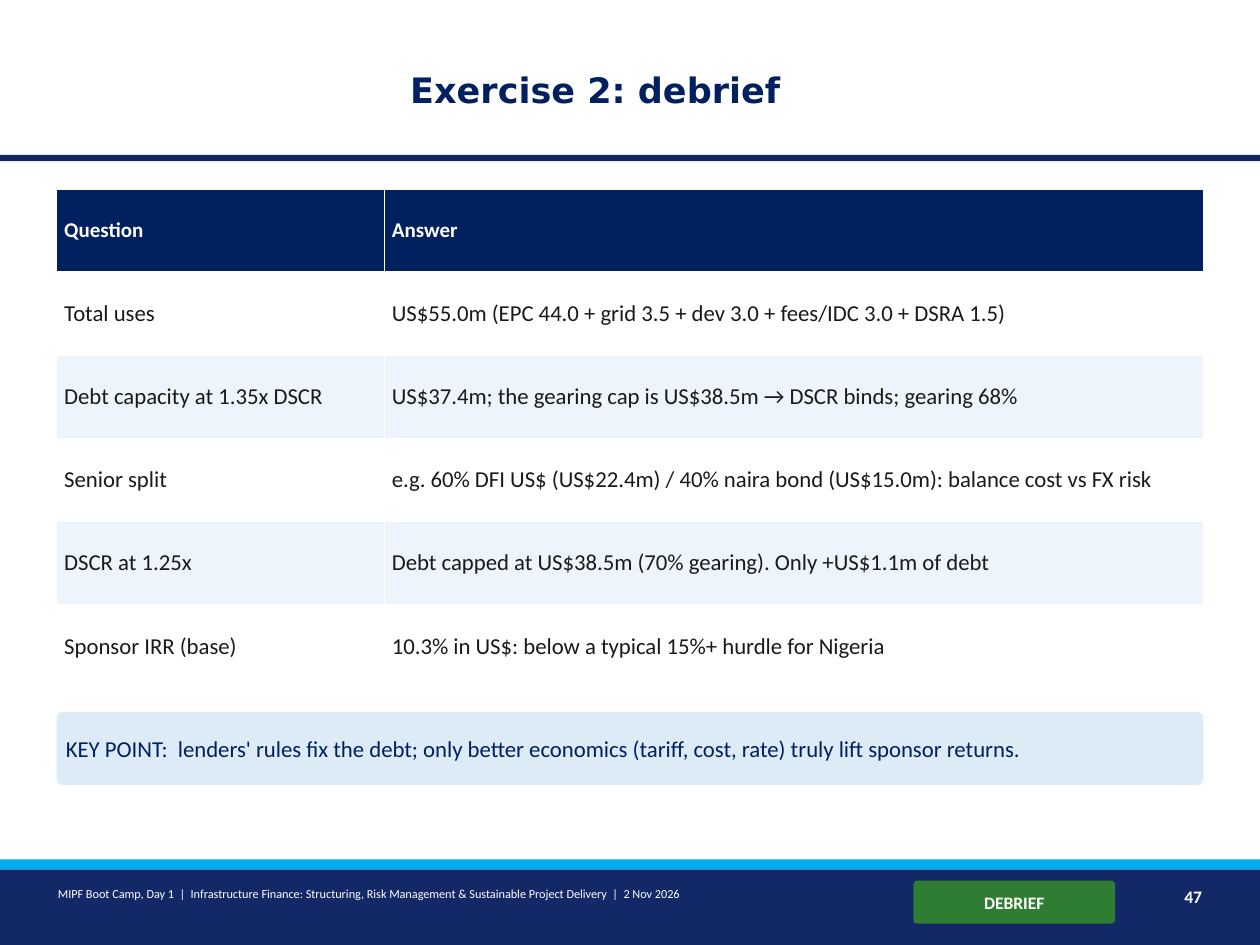
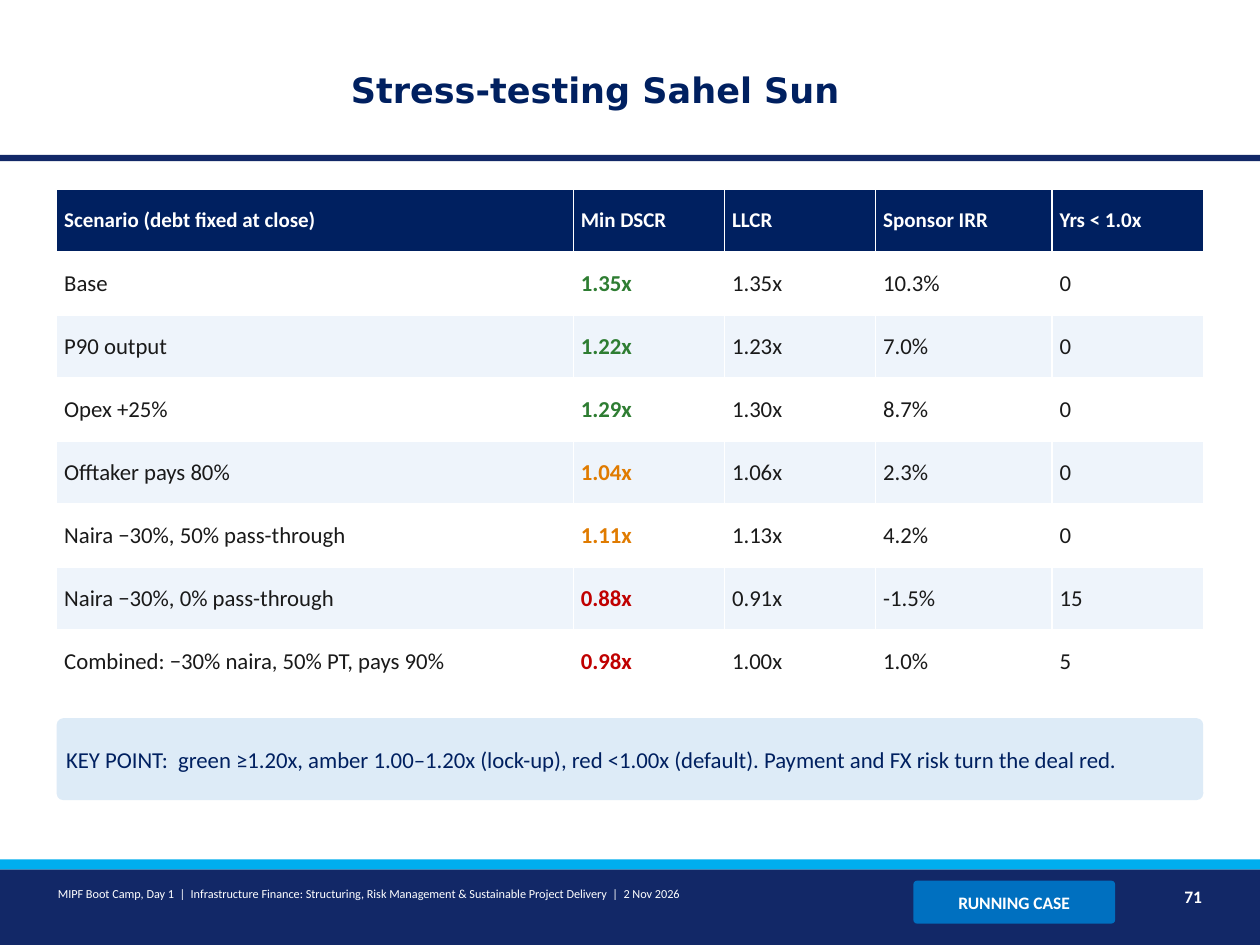
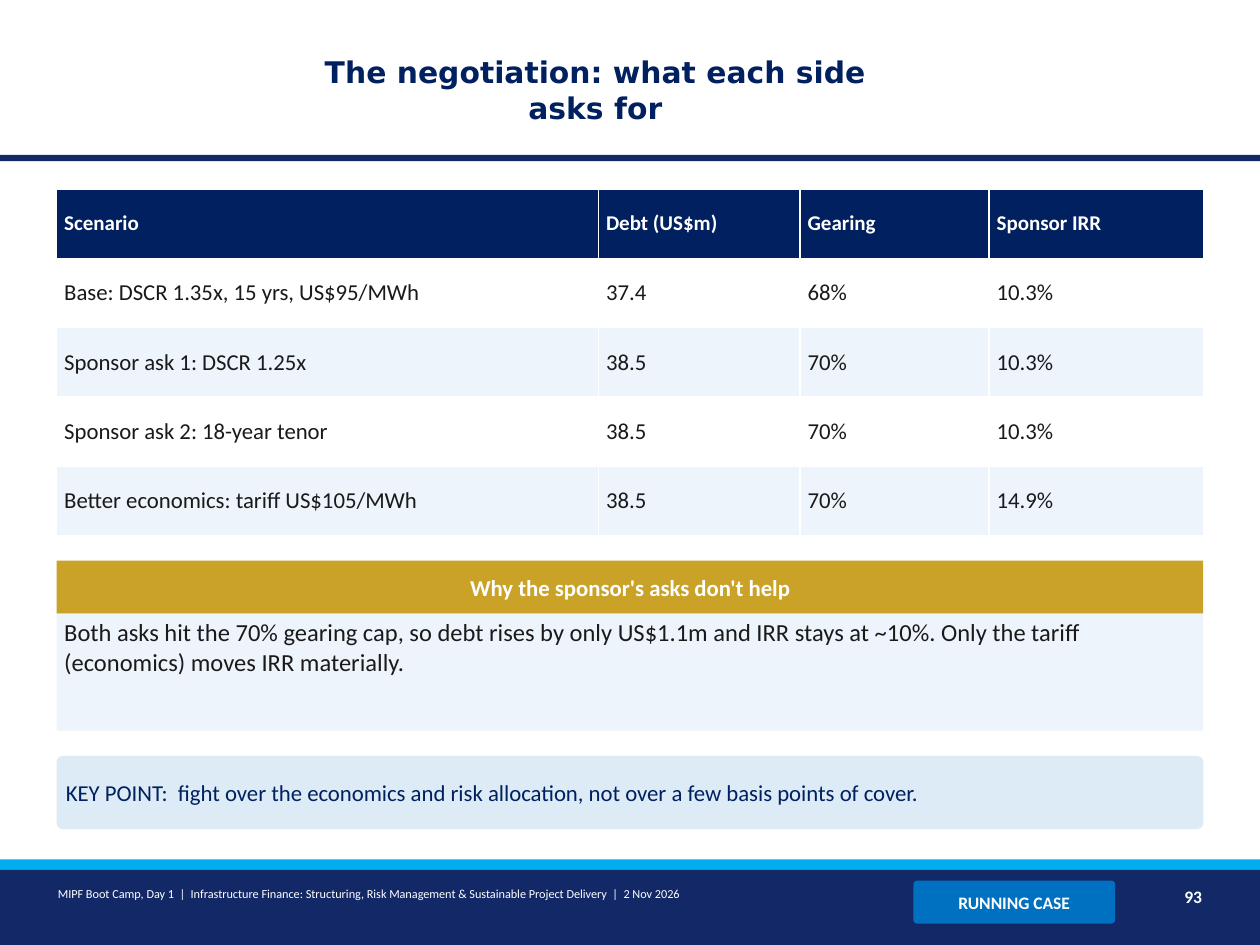
from pptx import Presentation
from pptx.dml.color import RGBColor
from pptx.enum.shapes import MSO_SHAPE
from pptx.enum.text import MSO_ANCHOR, PP_ALIGN
from pptx.util import Pt

RECT, ROUND = MSO_SHAPE.RECTANGLE, MSO_SHAPE.ROUNDED_RECTANGLE
TOP, MIDDLE = MSO_ANCHOR.TOP, MSO_ANCHOR.MIDDLE
LEFT, CENTER, RIGHT = PP_ALIGN.LEFT, PP_ALIGN.CENTER, PP_ALIGN.RIGHT

NAVY, BAND, CYAN, BLUE = "002060", "122867", "00AEEF", "0070C0"
GREEN, AMBER, RED, GOLD = "2E7D32", "E07B00", "C00000", "C9A227"
WHITE, PALE, SKY, INK = "FFFFFF", "EEF4FB", "DDEBF7", "1A1A1A"

WIDE, EDGE, SPAN, HEAD = 720, 32.4, 655.2, 108
TIGHT = {"margin_left": Pt(4.32), "margin_right": Pt(4.32),
         "margin_top": Pt(2.16), "margin_bottom": Pt(2.16)}
ROOMY = {"margin_left": Pt(7.2), "margin_right": Pt(7.2),
         "margin_top": Pt(3.6), "margin_bottom": Pt(3.6)}
FOOTER = ("MIPF Boot Camp, Day 1  |  Infrastructure Finance: Structuring, "
          "Risk Management & Sustainable Project Delivery  |  2 Nov 2026")


def color(code):
    return RGBColor.from_string(code)


def apply(item, values):
    for name, value in values.items():
        setattr(item, name, value)


def paint(item, code):
    item.fill.solid()
    item.fill.fore_color.rgb = color(code)


class Deck:
    """Holds the shared style and the slide being built."""

    def __init__(self):
        self.show = Presentation()
        apply(self.show, {"slide_width": Pt(WIDE), "slide_height": Pt(540)})
        self.slide = None

    def words(self, frame, text, size, ink, bold=False, align=LEFT,
              face="Calibri", after=0):
        part = frame.paragraphs[0]
        apply(part, {"alignment": align, "space_after": Pt(after)})
        run = part.add_run()
        run.text = text
        apply(run.font, {"name": face, "size": Pt(size), "bold": bold})
        run.font.color.rgb = color(ink)

    def label(self, place, text, size, ink, anchor=TOP, inset=TIGHT, **style):
        box = self.slide.shapes.add_textbox(*map(Pt, place))
        frame = box.text_frame
        apply(frame, {"word_wrap": True, "vertical_anchor": anchor, **inset})
        self.words(frame, text, size, ink, **style)

    def block(self, place, fill, text="", size=13, ink=WHITE, kind=RECT,
              anchor=MIDDLE, **style):
        shape = self.slide.shapes.add_shape(kind, *map(Pt, place))
        shape.shadow.inherit = False
        paint(shape, fill)
        shape.line.fill.background()
        if kind == ROUND:
            shape.adjustments[0] = 0.08
        if text:
            frame = shape.text_frame
            apply(frame, {"word_wrap": True, "vertical_anchor": anchor, **TIGHT})
            self.words(frame, text, size, ink, **style)

    def page(self, title, number, tag, fill=BLUE, size=20):
        self.slide = self.show.slides.add_slide(self.show.slide_layouts[6])
        for top, height, shade in ((88.56, 3.6, BAND), (496.8, 43.2, BAND),
                                   (491.04, 5.76, CYAN)):
            self.block((0, top, WIDE, height), shade)
        self.label((165.6, 15.84, 349.2, 70.56), title, size, NAVY, MIDDLE,
                   ROOMY, bold=True, align=CENTER, face="DejaVu Sans")
        self.block((522, 503.28, 115.2, 24.48), fill, tag, 10, kind=ROUND,
                   bold=True, align=CENTER)
        self.label((28.8, 504, 489.6, 25.2), FOOTER, 7, WHITE)
        self.label((648, 504, 43.2, 25.2), str(number), 10, WHITE,
                   bold=True, align=RIGHT)

    def table(self, widths, height, rows, rated=None):
        size = len(rows), len(widths)
        place = EDGE, HEAD, SPAN, height * len(rows)
        grid = self.slide.shapes.add_table(*size, *map(Pt, place)).table
        for column, width in zip(grid.columns, widths):
            column.width = Pt(width)
        for r, row in enumerate(rows):
            grid.rows[r].height = Pt(height)
            for c, text in enumerate(row):
                cell = grid.cell(r, c)
                apply(cell, {"vertical_anchor": MIDDLE, **TIGHT})
                if r == 0:
                    paint(cell, NAVY)
                    self.words(cell.text_frame, text, 12, WHITE, bold=True)
                else:
                    paint(cell, WHITE if r % 2 else PALE)
                    ink = self.rate(text) if c == rated else INK
                    self.words(cell.text_frame, text, 13, ink, bold=c == rated)

    def rate(self, text):
        ratio = float(text.rstrip("x"))
        return GREEN if ratio >= 1.2 else AMBER if ratio >= 1 else RED

    def panel(self, top, title, text):
        self.block((EDGE, top, SPAN, 30.24), GOLD, title, bold=True, align=CENTER)
        self.block((EDGE, top + 30.24, SPAN, 66.96), PALE, text, 14, INK,
                   anchor=TOP, after=3)

    def key(self, top, text, height=41.76):
        self.block((EDGE, top, SPAN, height), SKY, "KEY POINT:  " + text,
                   ink=NAVY, kind=ROUND)


def main():
    deck = Deck()

    deck.page("Exercise 2: debrief", 47, "DEBRIEF", GREEN)
    deck.table((187.2, 468), 47.52, (
        ("Question", "Answer"),
        ("Total uses",
         "US$55.0m (EPC 44.0 + grid 3.5 + dev 3.0 + fees/IDC 3.0 + DSRA 1.5)"),
        ("Debt capacity at 1.35x DSCR",
         "US$37.4m; the gearing cap is US$38.5m → DSCR binds; gearing 68%"),
        ("Senior split",
         "e.g. 60% DFI US$ (US$22.4m) / 40% naira bond (US$15.0m): "
         "balance cost vs FX risk"),
        ("DSCR at 1.25x",
         "Debt capped at US$38.5m (70% gearing). Only +US$1.1m of debt"),
        ("Sponsor IRR (base)",
         "10.3% in US$: below a typical 15%+ hurdle for Nigeria"),
    ))
    deck.key(406.8, "lenders' rules fix the debt; only better economics "
             "(tariff, cost, rate) truly lift sponsor returns.")

    deck.page("Stress-testing Sahel Sun", 71, "RUNNING CASE")
    deck.table((295.2, 86.4, 86.4, 100.8, 86.4), 36, (
        ("Scenario (debt fixed at close)", "Min DSCR", "LLCR", "Sponsor IRR",
         "Yrs < 1.0x"),
        ("Base", "1.35x", "1.35x", "10.3%", "0"),
        ("P90 output", "1.22x", "1.23x", "7.0%", "0"),
        ("Opex +25%", "1.29x", "1.30x", "8.7%", "0"),
        ("Offtaker pays 80%", "1.04x", "1.06x", "2.3%", "0"),
        ("Naira −30%, 50% pass-through", "1.11x", "1.13x", "4.2%", "0"),
        ("Naira −30%, 0% pass-through", "0.88x", "0.91x", "-1.5%", "15"),
        ("Combined: −30% naira, 50% PT, pays 90%", "0.98x", "1.00x", "1.0%", "5"),
    ), rated=1)
    deck.key(410.4, "green ≥1.20x, amber 1.00–1.20x (lock-up), red <1.00x "
             "(default). Payment and FX risk turn the deal red.", 46.8)

    deck.page("The negotiation: what each side asks for", 93, "RUNNING CASE",
              size=17)
    deck.table((309.6, 115.2, 108, 122.4), 39.6, (
        ("Scenario", "Debt (US$m)", "Gearing", "Sponsor IRR"),
        ("Base: DSCR 1.35x, 15 yrs, US$95/MWh", "37.4", "68%", "10.3%"),
        ("Sponsor ask 1: DSCR 1.25x", "38.5", "70%", "10.3%"),
        ("Sponsor ask 2: 18-year tenor", "38.5", "70%", "10.3%"),
        ("Better economics: tariff US$105/MWh", "38.5", "70%", "14.9%"),
    ))
    deck.panel(320.4, "Why the sponsor's asks don't help",
               "Both asks hit the 70% gearing cap, so debt rises by only US$1.1m "
               "and IRR stays at ~10%. Only the tariff (economics) moves IRR "
               "materially.")
    deck.key(432, "fight over the economics and risk allocation, not over a few "
             "basis points of cover.")

    deck.show.save("out.pptx")


if __name__ == "__main__":
    main()
